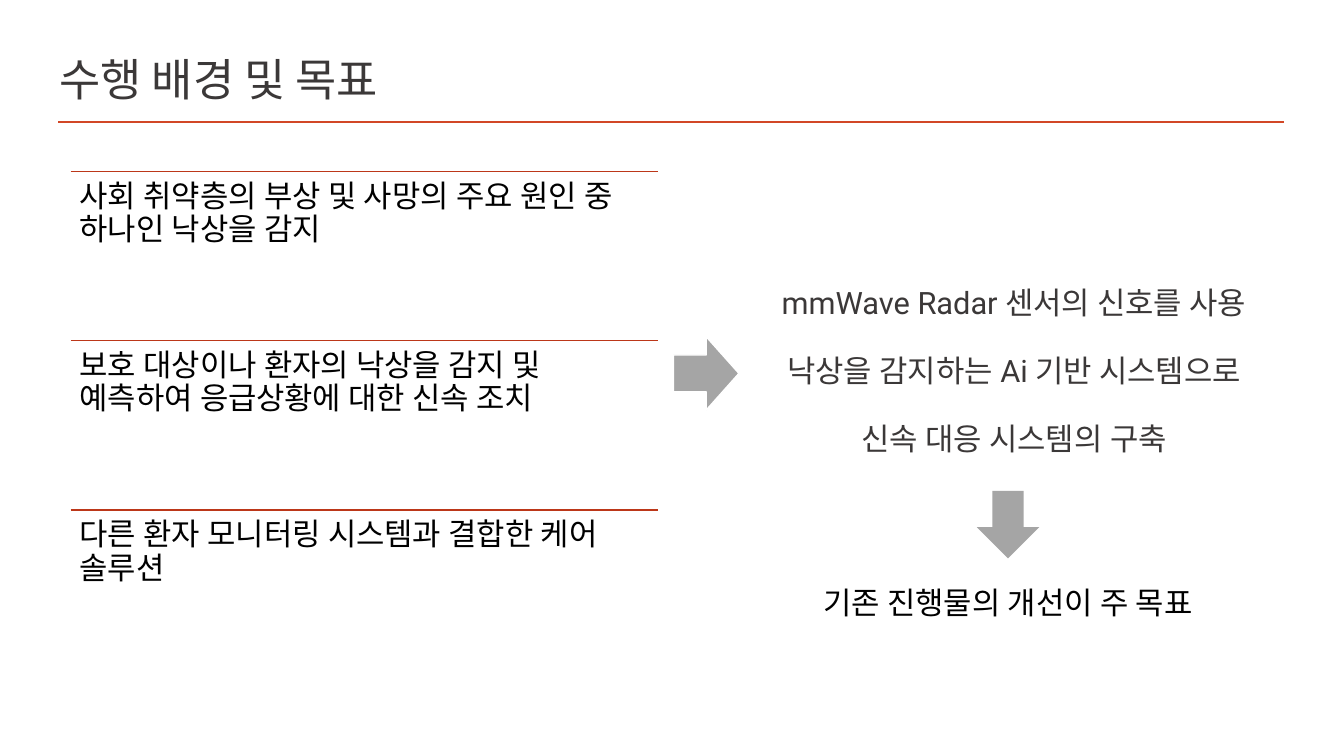
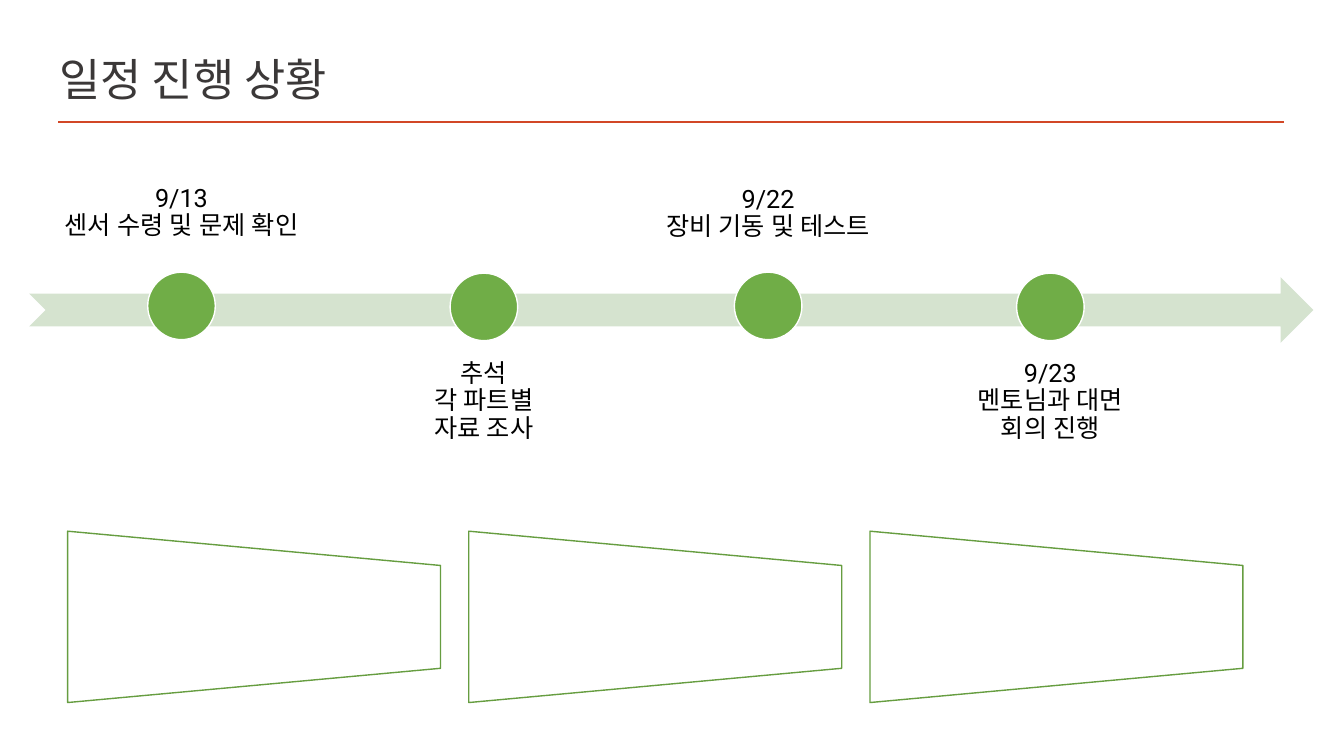
from dataclasses import dataclass
from typing import Optional

from lxml.etree import SubElement
from pptx import Presentation
from pptx.dml.color import RGBColor
from pptx.enum.shapes import MSO_CONNECTOR, MSO_SHAPE
from pptx.enum.text import MSO_ANCHOR, PP_ALIGN
from pptx.oxml.ns import qn
from pptx.util import Emu, Inches, Pt

SLIDE_WIDTH, SLIDE_HEIGHT = Inches(40 / 3), Inches(7.5)
TITLE_FONT, BODY_FONT = "Noto Sans CJK KR", "Roboto"
COLORS = {
    "accent": "D24726",
    "rule": "BC3719",
    "heading": "3B3838",
    "text": "000000",
    "arrow": "A5A5A5",
    "band": "D5E3CF",
    "dot": "70AD47",
    "outline": "669D40",
    "white": "FFFFFF",
}


# The grid has 100 columns and 100 rows on every slide
def columns(count: float) -> Emu:
    return Emu(round(SLIDE_WIDTH * count / 100))


def rows(count: float) -> Emu:
    return Emu(round(SLIDE_HEIGHT * count / 100))


@dataclass(frozen=True)
class Area:
    left: float
    top: float
    width: float
    height: float

    def lengths(self) -> tuple:
        return (columns(self.left), rows(self.top),
                columns(self.width), rows(self.height))


@dataclass(frozen=True)
class TextStyle:
    size: int
    color: str = "text"
    font: str = BODY_FONT
    align: PP_ALIGN = PP_ALIGN.LEFT
    anchor: MSO_ANCHOR = MSO_ANCHOR.TOP
    line_spacing: float = 1.0
    before: int = 0
    after: int = 0
    inset: Optional[float] = None


@dataclass(frozen=True)
class Milestone:
    area: Area
    lines: tuple
    above: bool


TITLE = TextStyle(32, "heading", TITLE_FONT, anchor=MSO_ANCHOR.MIDDLE)
REASON = TextStyle(22, line_spacing=0.9, inset=0.09)
SUMMARY = TextStyle(22, "heading", align=PP_ALIGN.CENTER, before=10, after=12)
GOAL = TextStyle(22, align=PP_ALIGN.CENTER)

REASONS = (
    "사회 취약층의 부상 및 사망의 주요 원인 중 하나인 낙상을 감지",
    "보호 대상이나 환자의 낙상을 감지 및 예측하여 응급상황에 대한 신속 조치",
    "다른 환자 모니터링 시스템과 결합한 케어 솔루션",
)
SUMMARY_LINES = (
    "mmWave Radar 센서의 신호를 사용",
    "낙상을 감지하는 Ai 기반 시스템으로",
    "신속 대응 시스템의 구축",
)
MILESTONES = (
    Milestone(Area(2.18, 19.6, 22.65, 14), ("9/13", "센서 수령 및 문제 확인"), True),
    Milestone(Area(26.33, 45.87, 19.35, 19.87), ("추석", "각 파트별", "자료 조사"), False),
    Milestone(Area(47.63, 20, 19.05, 13.73), ("9/22", "장비 기동 및 테스트"), True),
    Milestone(Area(68.63, 45.87, 19.05, 19.87), ("9/23", "멘토님과 대면", "회의 진행"), False),
)


def rgb(name: str) -> RGBColor:
    return RGBColor.from_string(COLORS[name])


def add_text(page, area: Area, text: str, style: TextStyle) -> None:
    frame = page.shapes.add_textbox(*area.lengths()).text_frame
    frame.word_wrap = True
    frame.vertical_anchor = style.anchor
    if style.inset is not None:
        frame.margin_left = frame.margin_right = Inches(style.inset)
        frame.margin_top = frame.margin_bottom = Inches(style.inset)
    frame.text = text
    for para in frame.paragraphs:
        para.alignment = style.align
        para.line_spacing = style.line_spacing
        para.space_before, para.space_after = Pt(style.before), Pt(style.after)
        for span in para.runs:
            span.font.size = Pt(style.size)
            span.font.name = style.font
            span.font.color.rgb = rgb(style.color)
            # Korean letters take the East Asian font
            SubElement(span.font._element, qn("a:ea"), typeface=style.font)


def add_rule(page, left: float, top: float, width: float,
             color: str, weight: float) -> None:
    rule = page.shapes.add_connector(
        MSO_CONNECTOR.STRAIGHT,
        columns(left), rows(top), columns(left + width), rows(top))
    rule.line.color.rgb = rgb(color)
    rule.line.width = Pt(weight)
    SubElement(rule._element.spPr, qn("a:effectLst"))


def add_figure(page, kind: MSO_SHAPE, area: Area, fill: str,
               outline: Optional[str] = None, rotation: float = 0) -> None:
    figure = page.shapes.add_shape(kind, *area.lengths())
    figure.shadow.inherit = False
    figure.rotation = rotation
    figure.fill.solid()
    figure.fill.fore_color.rgb = rgb(fill)
    if outline:
        figure.line.color.rgb = rgb(outline)
        figure.line.width = Pt(1)
    else:
        figure.line.fill.background()


def add_page(deck, title: str):
    page = deck.slides.add_slide(deck.slide_layouts[6])
    add_rule(page, 4.35, 16.13, 91.2, "accent", 2)
    add_text(page, Area(3.68, 6.27, 91.95, 8.13), title, TITLE)
    return page


def build_background(deck) -> None:
    page = add_page(deck, "수행 배경 및 목표")
    add_text(page, Area(54.9, 36.93, 41.1, 24.8), "\n".join(SUMMARY_LINES), SUMMARY)

    # Reasons, each under its own rule
    left, width, height = 5.25, 43.7, 22.4
    for index, reason in enumerate(REASONS):
        top = 22.67 + index * height
        add_rule(page, left, top, width, "rule", 1)
        add_text(page, Area(left, top, width, height), reason, REASON)

    # Arrows to the summary and on to the goal
    add_figure(page, MSO_SHAPE.RIGHT_ARROW, Area(50.1, 44.53, 4.88, 9.73), "arrow", "white")
    add_figure(page, MSO_SHAPE.DOWN_ARROW, Area(72.68, 64.93, 4.65, 8.93), "arrow")
    add_text(page, Area(57.53, 76.53, 34.95, 6.27), "기존 진행물의 개선이 주 목표", GOAL)


def add_milestone(page, milestone: Milestone) -> None:
    area = milestone.area
    style = TextStyle(
        18, align=PP_ALIGN.CENTER, line_spacing=0.9, inset=0.14,
        anchor=MSO_ANCHOR.BOTTOM if milestone.above else MSO_ANCHOR.TOP)
    add_text(page, area, "\v".join(milestone.lines), style)
    # The dot sits at the middle of its label
    width, height = 5.03, 8.93
    dot = Area(area.left + (area.width - width) / 2,
               36 if milestone.above else 36.13, width, height)
    add_figure(page, MSO_SHAPE.OVAL, dot, "dot", "white")


def build_schedule(deck) -> None:
    page = add_page(deck, "일정 진행 상황")

    # Timeline
    add_figure(page, MSO_SHAPE.NOTCHED_RIGHT_ARROW, Area(2.18, 36.67, 95.55, 8.67), "band")
    for milestone in MILESTONES:
        add_milestone(page, milestone)

    # Empty panels, turned so that the wide side is on the left
    for index in range(3):
        panel = Area(12.53 + index * 29.85, 56.93, 12.75, 49.33)
        add_figure(page, MSO_SHAPE.FLOWCHART_MANUAL_OPERATION, panel,
                   "white", "outline", rotation=270)


def main() -> None:
    deck = Presentation()
    deck.slide_width, deck.slide_height = SLIDE_WIDTH, SLIDE_HEIGHT
    build_background(deck)
    build_schedule(deck)
    deck.save("out.pptx")


if __name__ == "__main__":
    main()
